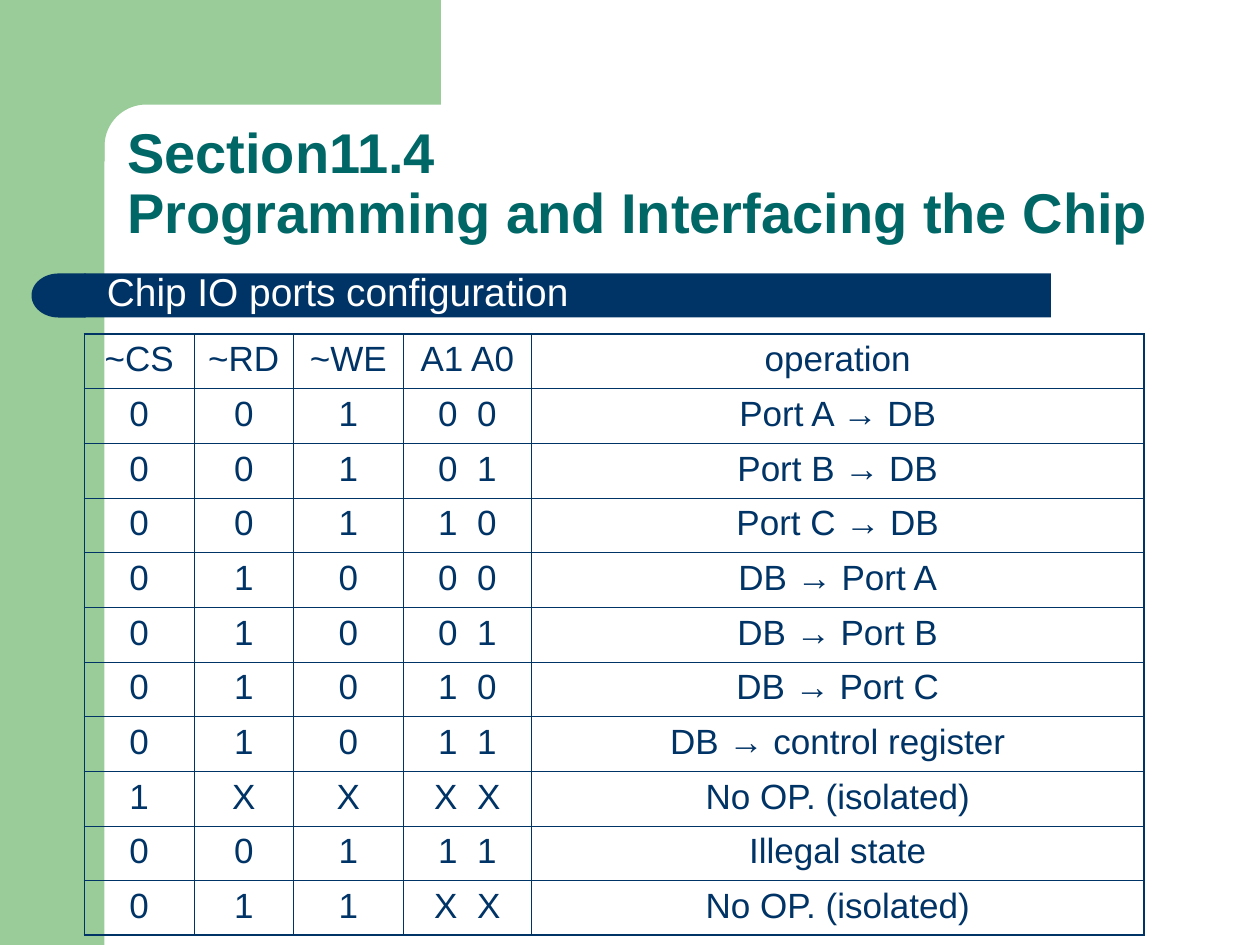
"""Builds the slide with the chip port configuration table."""
import math

import lxml.etree
import pptx
import pptx.dml.color
import pptx.enum.shapes
import pptx.enum.text
import pptx.oxml.ns
import pptx.util

Inches = pptx.util.Inches
Pt = pptx.util.Pt
SHAPES = pptx.enum.shapes.MSO_SHAPE
ANCHOR = pptx.enum.text.MSO_ANCHOR
ALIGN = pptx.enum.text.PP_ALIGN

COLORS = {"green": "99CC99", "navy": "003366", "teal": "006666", "white": "FFFFFF"}
FONT = "Arial"
TITLE = "Section11.4\vProgramming and Interfacing the Chip"
SUBTITLE = "Chip IO ports configuration"
OPERATIONS = [
    ("~CS", "~RD", "~WE", "A1 A0", "operation"),
    ("0", "0", "1", "0  0", "Port A → DB"),
    ("0", "0", "1", "0  1", "Port B → DB"),
    ("0", "0", "1", "1  0", "Port C → DB"),
    ("0", "1", "0", "0  0", "DB → Port A"),
    ("0", "1", "0", "0  1", "DB → Port B"),
    ("0", "1", "0", "1  0", "DB → Port C"),
    ("0", "1", "0", "1  1", "DB → control register"),
    ("1", "X", "X", "X  X", "No OP. (isolated)"),
    ("0", "0", "1", "1  1", "Illegal state"),
    ("0", "1", "1", "X  X", "No OP. (isolated)"),
]
COLUMN_WIDTHS = [0.87, 0.79, 0.87, 1.02, 4.86]
TABLE_LEFT, TABLE_TOP, TABLE_HEIGHT = 0.67, 2.65, 4.77
INNER_LINE, OUTER_LINE = 0.45, 1.08
BAND_WIDTH, BAND_BOTTOM, CORNER_RADIUS = 0.83, 0.83, 0.33


def rgb(name):
    return pptx.dml.color.RGBColor.from_string(COLORS[name])


def paint(shape, color):
    shape.fill.solid()
    shape.fill.fore_color.rgb = rgb(color)
    shape.line.fill.background()
    shape.shadow.inherit = False


def add_block(slide, preset, box, color):
    block = slide.shapes.add_shape(preset, *map(Inches, box))
    paint(block, color)
    return block


def add_corner(slide):
    center_x, center_y = BAND_WIDTH + CORNER_RADIUS, BAND_BOTTOM + CORNER_RADIUS
    angles = [math.radians(degrees) for degrees in range(90, 181, 5)]
    arc = [(center_x + CORNER_RADIUS * math.cos(a), center_y - CORNER_RADIUS * math.sin(a))
           for a in angles]
    outline = [(3.5, BAND_BOTTOM), *arc, (BAND_WIDTH, 1.28), (0.5, 1.28), (0.5, 0)]
    builder = slide.shapes.build_freeform(Inches(3.5), 0)
    builder.add_line_segments([(Inches(x), Inches(y)) for x, y in outline], close=True)
    paint(builder.convert_to_shape(), "green")


def format_text(paragraph, size, color, bold=False):
    for run in paragraph.runs:
        run.font.name = FONT
        run.font.size = Pt(size)
        run.font.bold = bold
        run.font.color.rgb = rgb(color)


def add_text(slide, text, box, size, color, spacing, bold=False, anchor=ANCHOR.TOP):
    frame = slide.shapes.add_textbox(*map(Inches, box)).text_frame
    frame.word_wrap = True
    frame.vertical_anchor = anchor
    paragraph = frame.paragraphs[0]
    paragraph.text = text
    paragraph.line_spacing = spacing
    format_text(paragraph, size, color, bold)
    return paragraph


def set_borders(cell, widths):
    qn = pptx.oxml.ns.qn
    properties = cell._tc.get_or_add_tcPr()
    for side, width in widths.items():
        border = lxml.etree.SubElement(properties, qn("a:ln" + side), w=str(int(Pt(width))))
        fill = lxml.etree.SubElement(border, qn("a:solidFill"))
        lxml.etree.SubElement(fill, qn("a:srgbClr"), val=COLORS["navy"])


def add_operations(slide):
    row_count, column_count = len(OPERATIONS), len(COLUMN_WIDTHS)
    table = slide.shapes.add_table(
        row_count, column_count, Inches(TABLE_LEFT), Inches(TABLE_TOP),
        Inches(sum(COLUMN_WIDTHS)), Inches(TABLE_HEIGHT)).table
    table.first_row = table.horz_banding = False
    for column, width in zip(table.columns, COLUMN_WIDTHS):
        column.width = Inches(width)
    for r, values in enumerate(OPERATIONS):
        table.rows[r].height = Inches(TABLE_HEIGHT / row_count)
        for c, value in enumerate(values):
            cell = table.cell(r, c)
            paragraph = cell.text_frame.paragraphs[0]
            paragraph.text = value
            paragraph.alignment = ALIGN.CENTER
            paragraph.space_before = Pt(5)
            format_text(paragraph, 20, "navy")
            on_edge = {"L": c == 0, "R": c == column_count - 1,
                       "T": r == 0, "B": r == row_count - 1}
            set_borders(cell, {side: OUTER_LINE if edge else INNER_LINE
                               for side, edge in on_edge.items()})
            cell.fill.background()


def main():
    deck = pptx.Presentation()
    deck.slide_width, deck.slide_height = Inches(10), Inches(7.5)
    slide = deck.slides.add_slide(deck.slide_layouts[6])
    add_block(slide, SHAPES.RECTANGLE, (0, 0, BAND_WIDTH, 7.5), "green")
    add_corner(slide)
    add_block(slide, SHAPES.RECTANGLE, (0.67, 2.17, 7.67, 0.35), "navy")
    bar_end = add_block(slide, SHAPES.FLOWCHART_DELAY, (0.25, 2.17, 0.43, 0.35), "navy")
    bar_end.rotation = 180
    add_text(slide, TITLE, (0.91, 0.91, 8.51, 1.09), 32, "teal", 0.9,
             bold=True, anchor=ANCHOR.BOTTOM)
    subtitle = add_text(slide, SUBTITLE, (0.75, 2.18, 8.41, 0.38), 22.2, "white", 0.7)
    subtitle.space_before = Pt(6)
    add_operations(slide)
    deck.save("out.pptx")


if __name__ == "__main__":
    main()
